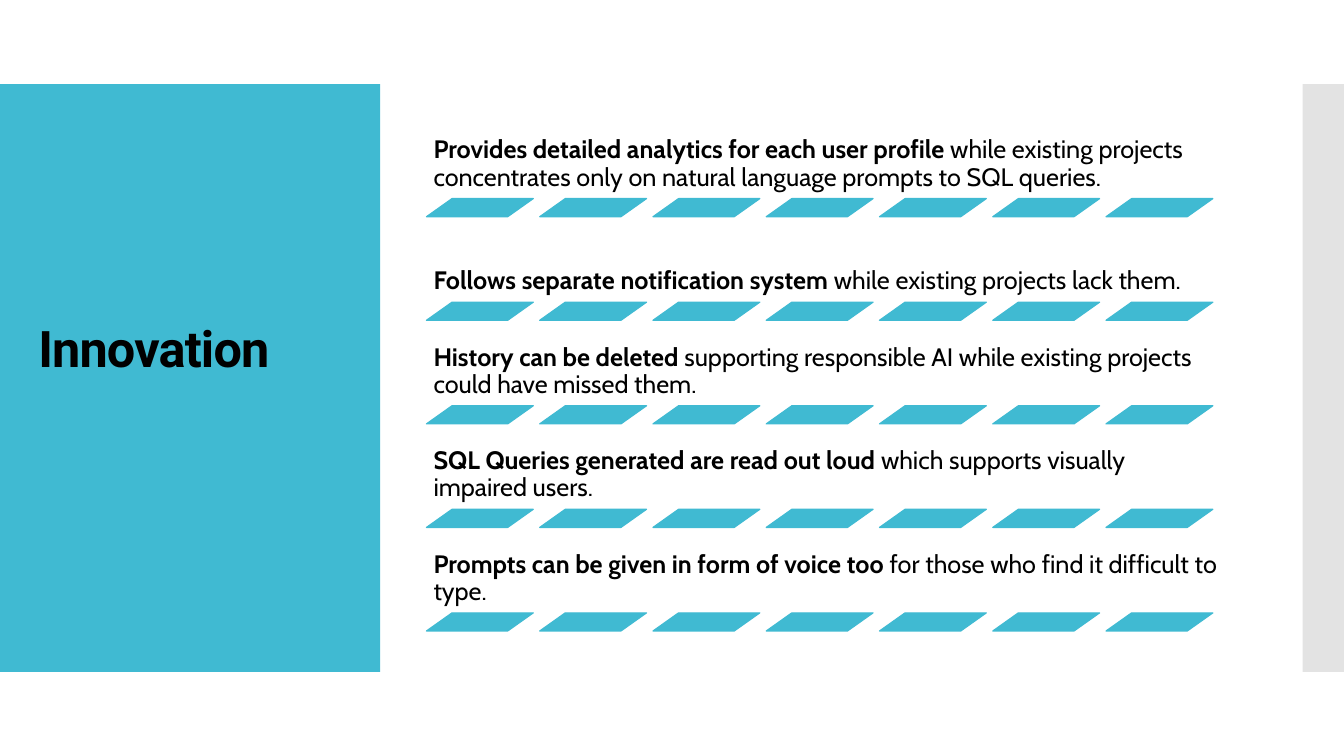
import pptx
import pptx.dml.color
import pptx.enum.shapes
import pptx.enum.text
import pptx.oxml
import pptx.oxml.ns
import pptx.util
from pptx.util import Inches, Pt

RGBColor = pptx.dml.color.RGBColor
TEAL = RGBColor(0x40, 0xBA, 0xD2)
GREY = RGBColor(0xC8, 0xC8, 0xC8)
BLACK = RGBColor(0, 0, 0)

SLIDE_WIDTH, SLIDE_HEIGHT = 13.33, 7.5
BAND_TOP, BAND_HEIGHT = SLIDE_HEIGHT / 9, SLIDE_HEIGHT * 7 / 9

LIST_LEFT, LIST_WIDTH = 4.23, 7.96
TEXT_HEIGHT = 0.72
FIRST_RULE, LAST_RULE = 1.97, 6.08
DASH_COUNT, LAST_DASH = 7, 10.97
DASH_WIDTH, DASH_HEIGHT = 1.06, 0.18
DASH_PITCH = (LAST_DASH - LIST_LEFT) / (DASH_COUNT - 1)

INNOVATIONS = [
    ("Provides detailed analytics for each user profile",
     " while existing projects concentrates only on natural language prompts to SQL queries."),
    ("Follows separate notification system",
     " while existing projects lack them."),
    ("History can be deleted",
     " supporting responsible AI while existing projects could have missed them."),
    ("SQL Queries generated are read out loud",
     " which supports visually impaired users."),
    ("Prompts can be given in form of voice too",
     " for those who find it difficult to type."),
]
ROW_PITCH = (LAST_RULE - FIRST_RULE) / (len(INNOVATIONS) - 1)


def format_run(run, font_name, size, bold):
    run.font.name = font_name
    run.font.size = Pt(size)
    run.font.bold = bold
    run.font.color.rgb = BLACK


def add_filled_shape(slide, preset, left, top, width, height, color):
    shape = slide.shapes.add_shape(
        preset, Inches(left), Inches(top), Inches(width), Inches(height))
    shape.shadow.inherit = False
    shape.fill.solid()
    shape.fill.fore_color.rgb = color
    shape.line.fill.background()
    return shape


def add_band(slide, left, width, color):
    """Add a side panel that spans the slide's central band."""
    return add_filled_shape(slide, pptx.enum.shapes.MSO_SHAPE.RECTANGLE,
                            left, BAND_TOP, width, BAND_HEIGHT, color)


def make_half_transparent(shape):
    color = shape.fill._xPr.find(".//" + pptx.oxml.ns.qn("a:srgbClr"))
    color.append(pptx.oxml.parse_xml(
        f'<a:alpha {pptx.oxml.ns.nsdecls("a")} val="50000"/>'))


def place_title(slide, text):
    title = slide.shapes.title
    slide.shapes._spTree.append(title._element)  # in front of the panel
    title.left, title.top = Inches(0.28), Inches(1.23)
    title.width, title.height = Inches(3.22), Inches(5.03)
    frame = title.text_frame
    frame.text = text
    frame.word_wrap = True
    frame.auto_size = pptx.enum.text.MSO_AUTO_SIZE.NONE
    frame.vertical_anchor = pptx.enum.text.MSO_ANCHOR.MIDDLE
    frame.margin_bottom = Inches(0.58)
    paragraph = frame.paragraphs[0]
    paragraph.alignment = pptx.enum.text.PP_ALIGN.LEFT
    paragraph.line_spacing = 0.9
    run = paragraph.runs[0]
    format_run(run, "Roboto", 36, True)
    run.font._element.set("spc", "-60")


def add_statement(slide, top, lead, rest):
    box = slide.shapes.add_textbox(
        Inches(LIST_LEFT), Inches(top), Inches(LIST_WIDTH), Inches(TEXT_HEIGHT))
    frame = box.text_frame
    frame.word_wrap = True
    frame.vertical_anchor = pptx.enum.text.MSO_ANCHOR.BOTTOM
    frame.margin_left = frame.margin_right = Inches(0.07)
    frame.margin_top = frame.margin_bottom = Inches(0.07)
    paragraph = frame.paragraphs[0]
    paragraph.line_spacing = 0.9
    for text, bold in ((lead, True), (rest, False)):
        run = paragraph.add_run()
        run.text = text
        format_run(run, "Cabin", 18, bold)


def add_dashed_rule(slide, top):
    """Add a row of evenly spaced slanted dashes."""
    for column in range(DASH_COUNT):
        dash = add_filled_shape(
            slide, pptx.enum.shapes.MSO_SHAPE.PARALLELOGRAM,
            LIST_LEFT + column * DASH_PITCH, top, DASH_WIDTH, DASH_HEIGHT, TEAL)
        dash.adjustments[0] = 1.41
        dash.line.color.rgb = TEAL
        dash.line.width = Pt(0.85)


def main():
    presentation = pptx.Presentation()
    presentation.slide_width = Inches(SLIDE_WIDTH)
    presentation.slide_height = Inches(SLIDE_HEIGHT)
    title_only = presentation.slide_layouts[5]
    slide = presentation.slides.add_slide(title_only)

    add_band(slide, 0, 3.77, TEAL)
    make_half_transparent(add_band(slide, 12.92, SLIDE_WIDTH - 12.92, GREY))
    place_title(slide, "Innovation")
    for row, (lead, rest) in enumerate(INNOVATIONS):
        rule_top = FIRST_RULE + row * ROW_PITCH
        add_statement(slide, rule_top - TEXT_HEIGHT, lead, rest)
        add_dashed_rule(slide, rule_top)

    presentation.save("out.pptx")


if __name__ == "__main__":
    main()
